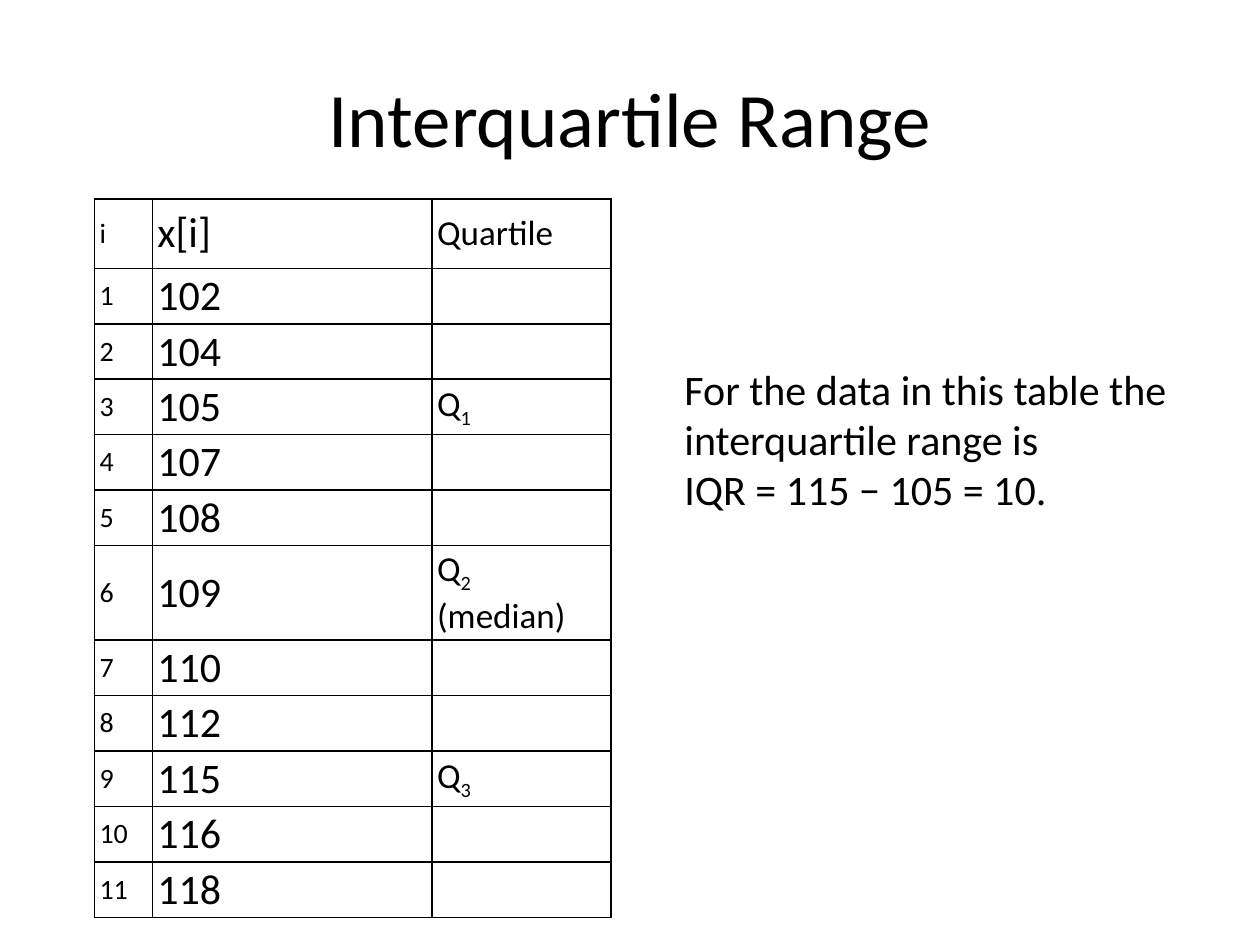
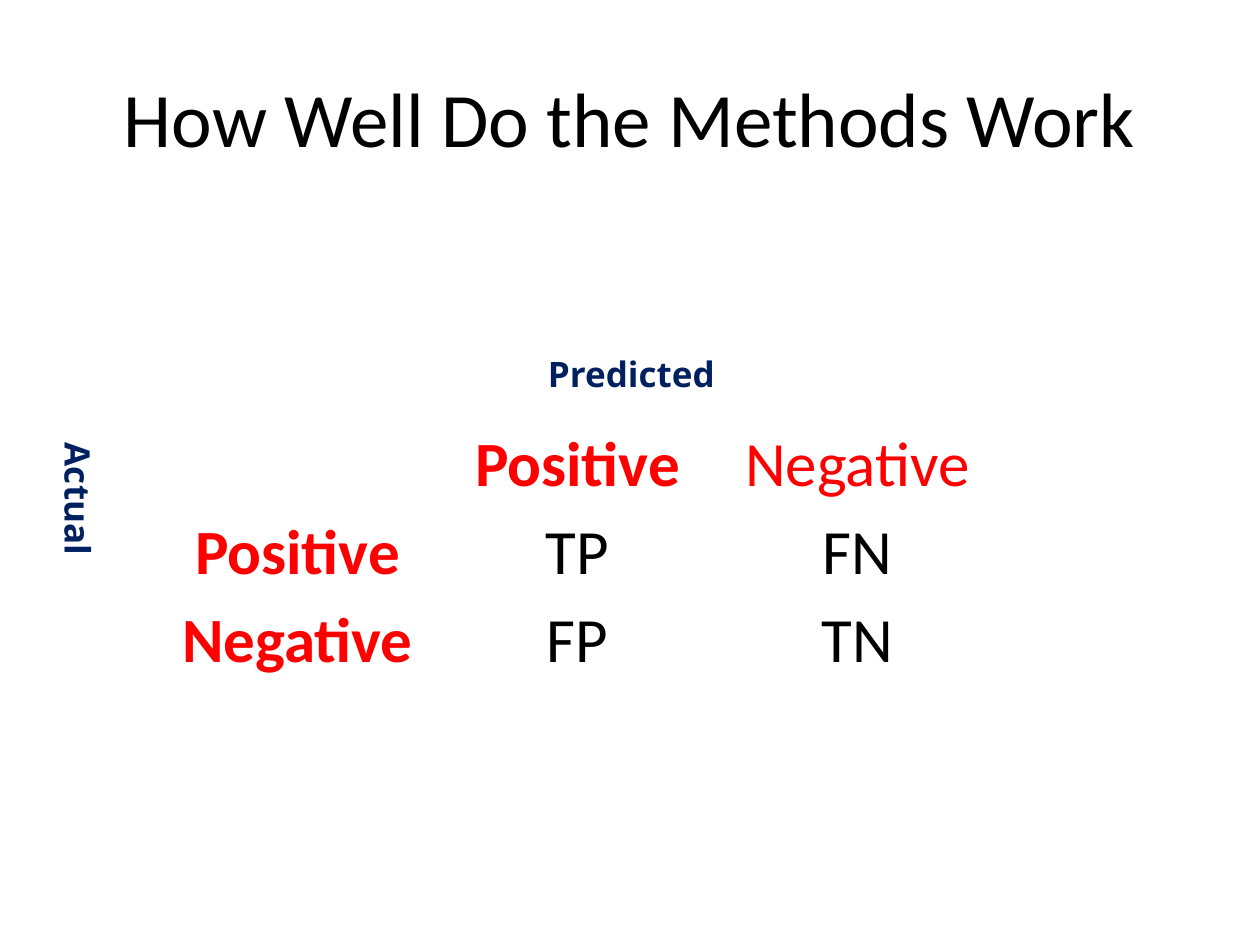
"""Builds two statistics slides: interquartile range and confusion matrix."""
import lxml.etree
import pptx
import pptx.dml.color
import pptx.enum.text
import pptx.oxml.ns
import pptx.util

Pt = pptx.util.Pt
RGB = pptx.dml.color.RGBColor
ALIGN = pptx.enum.text.PP_ALIGN
ANCHOR = pptx.enum.text.MSO_ANCHOR
BLACK = RGB(0, 0, 0)
WHITE = RGB(255, 255, 255)
RED = RGB(255, 0, 0)
NAVY = RGB(0, 0x20, 0x60)
BODY_FONT = "Calibri"
LABEL_FONT = "Open Sans"
VALUES = [102, 104, 105, 107, 108, 109, 110, 112, 115, 116, 118]
QUARTILES = {3: ("1", ""), 6: ("2", "(median)"), 9: ("3", "")}
MATRIX = [["", "Positive", "Negative"],
          ["Positive", "TP", "FN"],
          ["Negative", "FP", "TN"]]


def style(r, size, color=BLACK, bold=False, font=BODY_FONT):
    r.font.name = font
    r.font.size = Pt(size)
    r.font.bold = bold
    r.font.color.rgb = color


def add_text(s, box, text, size, color=BLACK, bold=False, font=BODY_FONT):
    sp = s.shapes.add_textbox(*map(Pt, box))
    tf = sp.text_frame
    tf.word_wrap = True
    tf.text = text
    style(tf.paragraphs[0].runs[0], size, color, bold, font)
    return tf


def add_title(s, text):
    tf = add_text(s, (36, 21.6, 648, 90), text, 44)
    tf.vertical_anchor = ANCHOR.MIDDLE
    tf.paragraphs[0].alignment = ALIGN.CENTER


def add_table(s, left, top, widths, heights):
    shape = s.shapes.add_table(len(heights), len(widths), Pt(left), Pt(top),
                               Pt(sum(widths)), Pt(sum(heights)))
    table = shape.table
    table.first_row = table.horz_banding = False
    for column, width in zip(table.columns, widths):
        column.width = Pt(width)
    for row, height in zip(table.rows, heights):
        row.height = Pt(height)
    return table


def set_borders(cell, color, top=1, bottom=1):
    qn = pptx.oxml.ns.qn
    tc_pr = cell._tc.get_or_add_tcPr()
    for side, width in (("L", 1), ("R", 1), ("T", top), ("B", bottom)):
        ln = lxml.etree.SubElement(tc_pr, qn("a:ln" + side), w=str(Pt(width)))
        fill = lxml.etree.SubElement(ln, qn("a:solidFill"))
        lxml.etree.SubElement(fill, qn("a:srgbClr"), val=str(color))
    cell.fill.background()


def add_quartile(p, number, note):
    p.add_run().text = "Q"
    r = p.add_run()
    r.text = number
    r.font._element.set("baseline", "-25000")
    if note:
        p.add_line_break()
        p.add_run().text = note
    for r in p.runs:
        style(r, 20)


def add_quartile_table(s):
    table = add_table(s, 54, 113.76, (33.12, 159.84, 102.24),
                      [39.6] + [30.24] * len(VALUES))
    rows = [("i", "x[i]", "Quartile")]
    rows += [(str(i), str(x), "") for i, x in enumerate(VALUES, 1)]
    for i, row in enumerate(rows):
        for j, (text, size) in enumerate(zip(row, (16, 24, 20))):
            cell = table.cell(i, j)
            cell.vertical_anchor = ANCHOR.MIDDLE
            cell.margin_left = cell.margin_right = Pt(2.88)
            cell.margin_top = cell.margin_bottom = Pt(1.44)
            set_borders(cell, BLACK)
            p = cell.text_frame.paragraphs[0]
            if text:
                p.text = text
                style(p.runs[0], size)
            elif i in QUARTILES:
                add_quartile(p, *QUARTILES[i])


def add_matrix(s):
    table = add_table(s, 90, 240, [160] * 3, [29.52] * 3)
    for i, row in enumerate(MATRIX):
        for j, text in enumerate(row):
            cell = table.cell(i, j)
            set_borders(cell, WHITE, 3 if i == 1 else 1, 3 if i == 0 else 1)
            if text:
                p = cell.text_frame.paragraphs[0]
                p.text = text
                p.alignment = ALIGN.CENTER
                heading = i == 0 or j == 0
                style(p.runs[0], 36, RED if heading else BLACK,
                      heading and (i, j) != (0, 2))


def add_label(s, box, text):
    return add_text(s, box, text, 20, NAVY, True, LABEL_FONT)


def main():
    prs = pptx.Presentation()
    prs.slide_width, prs.slide_height = Pt(720), Pt(540)
    blank = prs.slide_layouts[6]

    s = prs.slides.add_slide(blank)
    add_title(s, "Interquartile Range")
    add_quartile_table(s)
    add_text(s, (384, 204, 312, 94.5),
             "For the data in this table the interquartile range is "
             "IQR\u00a0=\u00a0115\u00a0\u2212\u00a0105 = 10.", 24)

    s = prs.slides.add_slide(blank)
    add_title(s, "How Well Do the Methods Work")
    add_matrix(s)
    add_label(s, (306, 198, 300, 31.5), "Predicted")
    tf = add_label(s, (21.6, 246, 38.9, 102), "Actual")
    tf._txBody.bodyPr.set("vert", "eaVert")

    prs.save("out.pptx")


main()
